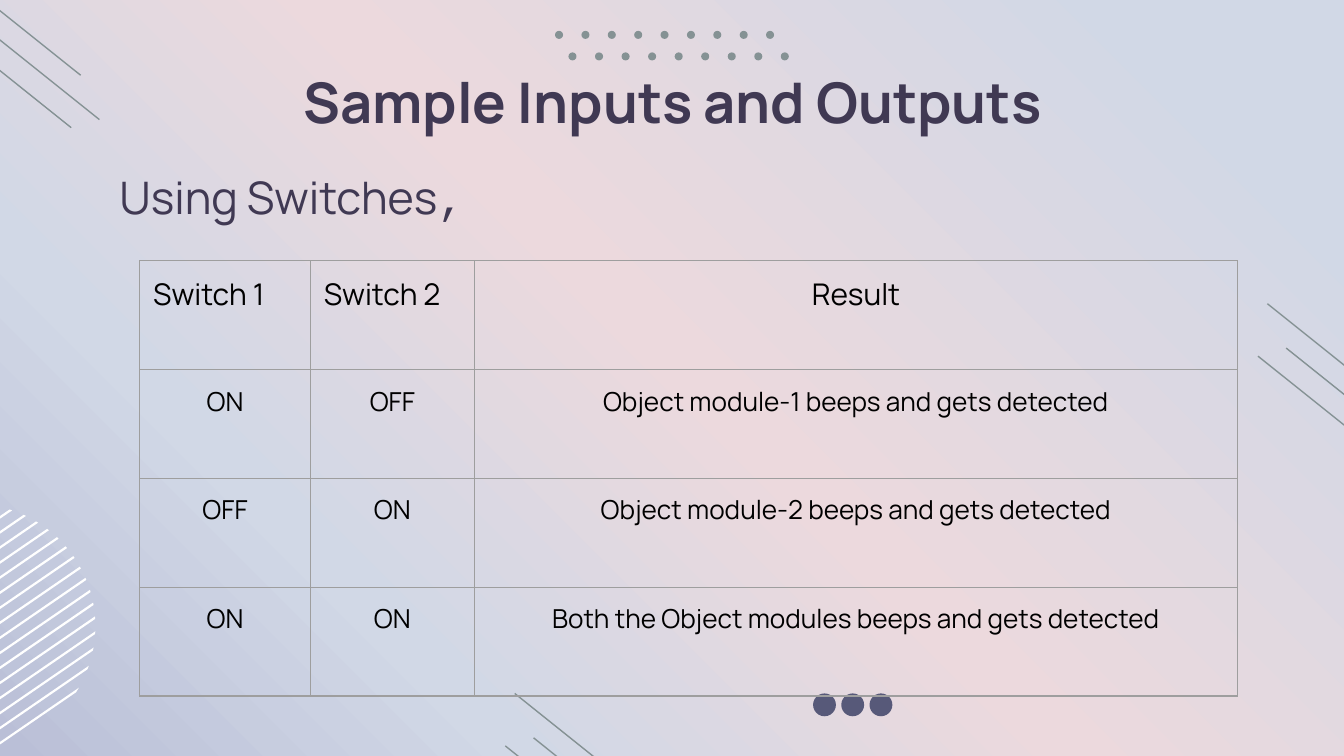
from dataclasses import dataclass
from math import hypot, sqrt

from lxml.etree import SubElement
from pptx import Presentation
from pptx.dml.color import RGBColor
from pptx.enum.shapes import MSO_CONNECTOR as Connector, MSO_SHAPE as Shape
from pptx.enum.text import MSO_ANCHOR as Anchor, MSO_AUTO_SIZE as AutoSize, PP_ALIGN as Align
from pptx.oxml import parse_xml
from pptx.oxml.ns import nsdecls, qn
from pptx.util import Inches, Pt

COLORS = {
    "ink": "403953", "black": "000000", "white": "FFFFFF",
    "dot": "575979", "sage": "859294", "border": "9E9E9E",
    "mist": "D1D8E6", "rose": "ECD9DD", "lilac": "BABFD7",
}
BACKGROUND_STOPS = [(0, "mist"), (11, "mist"), (49, "rose"), (75, "mist"), (100, "lilac")]
FONT = "Manrope"


@dataclass(frozen=True)
class DotRow:
    first: float
    last: float
    top: float
    count: int
    size: float
    color: str


@dataclass(frozen=True)
class Point:
    x: float
    y: float


@dataclass(frozen=True)
class StripedDisc:
    """Stripes run from the first to the last height, measured at x = 0."""
    center: Point
    radius: float
    slope: float
    first: float
    last: float
    thickness: float
    count: int


DOT_ROWS = [
    DotRow(6.05, 6.47, 5.16, 3, 0.17, "dot"),
    DotRow(4.13, 5.7, 0.23, 9, 0.06, "sage"),
    DotRow(4.23, 5.81, 0.39, 9, 0.06, "sage"),
]
HATCH_ORIGINS = [Point(-0.2, -0.08), Point(3.83, 5.16), Point(9.43, 2.26)]
HATCH_OFFSETS = [Point(0.14, 0.33), Point(-0.07, 0.39), Point(0, 0)]
HATCH_REACH = Point(0.8, 0.64)
DISC = StripedDisc(Point(-0.2, 4.66), 0.91, -0.81 / 1.18, 3.84, 5.52, 0.02, 16)

COLUMN_WIDTHS = [1.27, 1.22, 5.68]
ROW_HEIGHT = 0.81
TABLE_ROWS = [
    ["Switch 1", "Switch 2", "Result"],
    ["ON", "OFF", "Object module-1 beeps and gets detected"],
    ["OFF", "ON", "Object module-2 beeps and gets detected"],
    ["ON", "ON", "Both the Object modules beeps and gets detected"],
]


def rgb(name: str) -> RGBColor:
    return RGBColor.from_string(COLORS[name])


def paint_background(page) -> None:
    fill = page.background.fill
    fill.gradient()
    fill.gradient_angle = 225
    stops = next(page.element.iter(qn("a:gsLst")))
    for stop in list(stops):
        stops.remove(stop)
    for percent, color in BACKGROUND_STOPS:
        stop = SubElement(stops, qn("a:gs"), pos=str(percent * 1000))
        SubElement(stop, qn("a:srgbClr"), val=COLORS[color])


def fill_plain(shape, color: str) -> None:
    shape.shadow.inherit = False
    shape.fill.solid()
    shape.fill.fore_color.rgb = rgb(color)
    shape.line.fill.background()


def spread(first: float, last: float, count: int) -> list[float]:
    """Evenly spaced values from first to last."""
    return [first + index * (last - first) / (count - 1) for index in range(count)]


def chord(disc: StripedDisc, height: float) -> list[Point]:
    """Left and right ends of the sloped line that crosses x = 0 at height."""
    scale = hypot(1, disc.slope)
    offset = (height + disc.slope * disc.center.x - disc.center.y) / scale
    half = sqrt(disc.radius ** 2 - offset ** 2)
    middle = Point(disc.center.x - offset * disc.slope / scale,
                   disc.center.y + offset / scale)
    return [Point(middle.x + side * half / scale,
                  middle.y + side * half * disc.slope / scale) for side in (-1, 1)]


def draw_striped_disc(page, disc: StripedDisc) -> None:
    for height in spread(disc.first, disc.last, disc.count):
        corners = chord(disc, height) + chord(disc, height + disc.thickness)[::-1]
        points = [(Inches(corner.x), Inches(corner.y)) for corner in corners]
        builder = page.shapes.build_freeform(*points[0])
        builder.add_line_segments(points[1:], close=True)
        fill_plain(builder.convert_to_shape(), "white")


def draw_dots(page, row: DotRow) -> None:
    for left in spread(row.first, row.last, row.count):
        dot = page.shapes.add_shape(Shape.OVAL, Inches(left), Inches(row.top),
                                    Inches(row.size), Inches(row.size))
        fill_plain(dot, row.color)


def draw_hatch(page, origin: Point) -> None:
    for offset in HATCH_OFFSETS:
        x, y = origin.x + offset.x, origin.y + offset.y
        line = page.shapes.add_connector(
            Connector.STRAIGHT, Inches(x), Inches(y),
            Inches(x + HATCH_REACH.x), Inches(y + HATCH_REACH.y))
        line.line.color.rgb = rgb("sage")
        line.line.width = Pt(0.75)
        SubElement(line.element.spPr, qn("a:effectLst"))


def add_span(para, text: str, size: float, color: str, font: str = FONT, bold: bool = False) -> None:
    span = para.add_run()
    span.text = text
    span.font.name = font
    span.font.size = Pt(size)
    span.font.bold = bold
    span.font.color.rgb = rgb(color)


def set_margins(holder) -> None:
    holder.margin_left = holder.margin_right = Inches(0.1)
    holder.margin_top = holder.margin_bottom = Inches(0.1)
    holder.vertical_anchor = Anchor.TOP


def place_text(box, top: float, height: float):
    """Positions a full-width text shape and returns its first paragraph."""
    box.left, box.top = Inches(0.79), Inches(top)
    box.width, box.height = Inches(8.43), Inches(height)
    frame = box.text_frame
    frame.auto_size = AutoSize.NONE
    frame.word_wrap = True
    set_margins(frame)
    return frame.paragraphs[0]


def set_borders(cell) -> None:
    properties = cell._tc.get_or_add_tcPr()
    for index, side in enumerate(("lnL", "lnR", "lnT", "lnB")):
        properties.insert(index, parse_xml(
            f'<a:{side} {nsdecls("a")} w="{Pt(0.75)}"><a:solidFill>'
            f'<a:srgbClr val="{COLORS["border"]}"/></a:solidFill></a:{side}>'))


def draw_table(page) -> None:
    frame = page.shapes.add_table(
        len(TABLE_ROWS), len(COLUMN_WIDTHS), Inches(1.04), Inches(1.94),
        Inches(sum(COLUMN_WIDTHS)), Inches(ROW_HEIGHT * len(TABLE_ROWS)))
    table = frame.table
    table.first_row = table.horz_banding = False
    for column, width in zip(table.columns, COLUMN_WIDTHS):
        column.width = Inches(width)
    for row_index, texts in enumerate(TABLE_ROWS):
        table.rows[row_index].height = Inches(ROW_HEIGHT)
        is_header = row_index == 0
        for column_index, text in enumerate(texts):
            cell = table.cell(row_index, column_index)
            cell.fill.background()
            set_margins(cell)
            set_borders(cell)
            para = cell.text_frame.paragraphs[0]
            para.alignment = Align.LEFT if is_header and column_index < 2 else Align.CENTER
            add_span(para, text, 16 if is_header else 14, "black")


def main() -> None:
    deck = Presentation()
    deck.slide_width = Inches(10)
    deck.slide_height = deck.slide_width * 9 // 16
    page = deck.slides.add_slide(deck.slide_layouts[5])
    paint_background(page)
    draw_striped_disc(page, DISC)
    for row in DOT_ROWS:
        draw_dots(page, row)
    for origin in HATCH_ORIGINS:
        draw_hatch(page, origin)

    title = place_text(page.shapes.title, 0.4, 0.52)
    title.alignment = Align.CENTER
    add_span(title, "Sample Inputs and Outputs", 30, "ink", bold=True)

    subtitle = place_text(page.shapes.add_textbox(0, 0, 0, 0), 1.1, 3.77)
    subtitle.line_spacing = 1.15
    add_span(subtitle, "Using Switches", 24, "ink")
    add_span(subtitle, ",", 24, "ink", font="Courier New")
    draw_table(page)
    deck.save("out.pptx")


if __name__ == "__main__":
    main()
